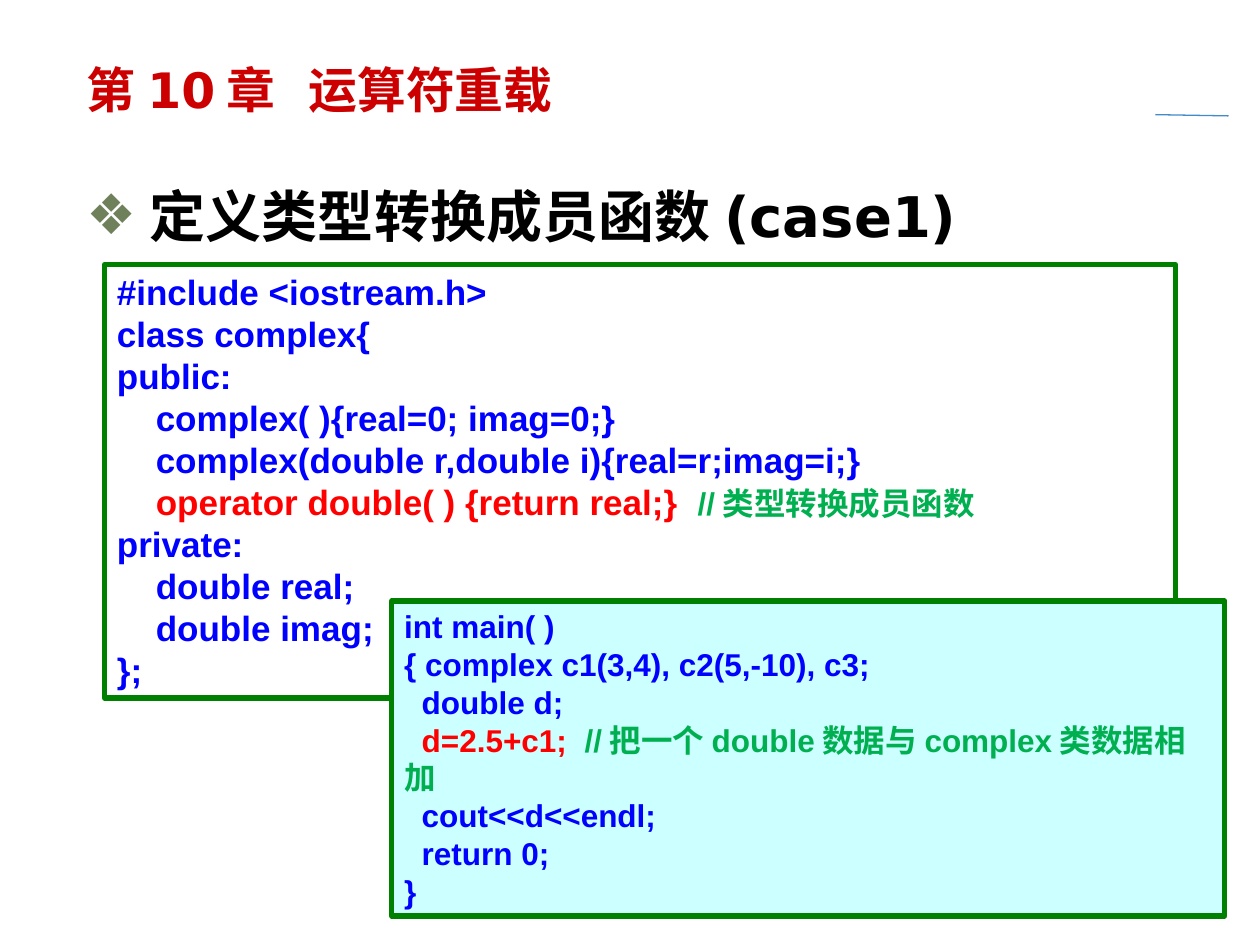
from dataclasses import dataclass

from lxml.etree import SubElement
from pptx import Presentation
from pptx.dml.color import RGBColor
from pptx.enum.shapes import MSO_CONNECTOR, MSO_SHAPE
from pptx.enum.text import MSO_ANCHOR, MSO_AUTO_SIZE, PP_ALIGN
from pptx.oxml.ns import qn
from pptx.util import Inches, Pt


@dataclass(frozen=True)
class Theme:
    heading_font: str = "DejaVu Sans"
    code_font: str = "Arial"
    title_size: float = 27.9
    topic_size: float = 32
    class_size: float = 20
    main_size: float = 18
    comment_size: float = 18
    title: str = "CC0000"
    topic: str = "000000"
    bullet: str = "6E815B"
    code: str = "0000FF"
    highlight: str = "FF0000"
    comment: str = "00B050"
    frame: str = "008000"
    main_fill: str = "CCFFFF"
    rule: str = "438ACB"


THEME = Theme()

# Each line of code is a list of (text, kind) pieces.
CLASS_CODE = [
    [("#include <iostream.h>", "code")],
    [("class complex{", "code")],
    [("public:", "code")],
    [("    complex( ){real=0; imag=0;}", "code")],
    [("    complex(double r,double i){real=r;imag=i;}", "code")],
    [("    operator double( ) {return real;}  ", "highlight"),
     ("//类型转换成员函数", "comment")],
    [("private:", "code")],
    [("    double real;", "code")],
    [("    double imag;", "code")],
    [("};", "code")],
]
MAIN_CODE = [
    [("int main( )", "code")],
    [("{ complex c1(3,4), c2(5,-10), c3;", "code")],
    [("  double d;", "code")],
    [("  d=2.5+c1;  ", "highlight"),
     ("//把一个double数据与complex类数据相加", "comment")],
    [("  cout<<d<<endl;", "code")],
    [("  return 0;", "code")],
    [("}", "code")],
]


def rgb(color):
    return RGBColor.from_string(color)


def style_font(font, name, size, color):
    font.name = name
    font.size = Pt(size)
    font.bold = True
    font.color.rgb = rgb(color)


def place(shape, box):
    shape.left, shape.top, shape.width, shape.height = map(Inches, box)


def prepare_frame(text_frame, anchor):
    text_frame.word_wrap = True
    text_frame.auto_size = MSO_AUTO_SIZE.NONE
    text_frame.vertical_anchor = anchor
    text_frame.margin_left = text_frame.margin_right = Inches(0.1)
    text_frame.margin_top = text_frame.margin_bottom = Inches(0.05)


def add_tab_stop(paragraph, position):
    tab_list = SubElement(paragraph._p.get_or_add_pPr(), qn("a:tabLst"))
    SubElement(tab_list, qn("a:tab"), pos=str(Inches(position)), algn="l")


def add_bullet(paragraph, character, color, indent):
    properties = paragraph._p.get_or_add_pPr()
    properties.set("marL", str(Inches(indent)))
    properties.set("indent", str(Inches(-indent)))
    bullet_color = SubElement(properties, qn("a:buClr"))
    SubElement(bullet_color, qn("a:srgbClr"), val=color)
    SubElement(properties, qn("a:buFont"), typeface=THEME.heading_font)
    SubElement(properties, qn("a:buChar"), char=character)


def fill_title(title, box):
    place(title, box)
    prepare_frame(title.text_frame, MSO_ANCHOR.MIDDLE)
    title.text_frame.text = "第10章\t运算符重载"
    paragraph = title.text_frame.paragraphs[0]
    add_tab_stop(paragraph, 1.76)
    paragraph.alignment = PP_ALIGN.LEFT
    paragraph.line_spacing = 0.8
    style_font(paragraph.runs[0].font, THEME.heading_font, THEME.title_size, THEME.title)


def fill_topic(body, box):
    place(body, box)
    prepare_frame(body.text_frame, MSO_ANCHOR.TOP)
    body.text_frame.text = "定义类型转换成员函数(case1)"
    paragraph = body.text_frame.paragraphs[0]
    add_bullet(paragraph, "❖", THEME.bullet, 0.5)
    paragraph.space_before = Pt(0)
    style_font(paragraph.runs[0].font, THEME.heading_font, THEME.topic_size, THEME.topic)


def add_corner_rule(slide, start, end):
    rule = slide.shapes.add_connector(
        MSO_CONNECTOR.STRAIGHT, *map(Inches, start), *map(Inches, end))
    rule.line.color.rgb = rgb(THEME.rule)
    rule.line.width = Pt(0.75)
    SubElement(rule._element.spPr, qn("a:effectLst"))


def add_code_panel(slide, box, lines, size, fill=None):
    panel = slide.shapes.add_shape(MSO_SHAPE.RECTANGLE, *map(Inches, box))
    panel.shadow.inherit = False
    panel.line.color.rgb = rgb(THEME.frame)
    panel.line.width = Pt(3)
    if fill:
        panel.fill.solid()
        panel.fill.fore_color.rgb = rgb(fill)
    else:
        panel.fill.background()

    text_frame = panel.text_frame
    prepare_frame(text_frame, MSO_ANCHOR.TOP)
    for index, pieces in enumerate(lines):
        paragraph = text_frame.add_paragraph() if index else text_frame.paragraphs[0]
        paragraph.alignment = PP_ALIGN.LEFT
        for text, kind in pieces:
            run = paragraph.add_run()
            run.text = text
            run_size = THEME.comment_size if kind == "comment" else size
            style_font(run.font, THEME.code_font, run_size, getattr(THEME, kind))


def build_slide(presentation):
    slide = presentation.slides.add_slide(presentation.slide_layouts[1])
    add_corner_rule(slide, (9.17, 0.91), (9.75, 0.92))
    fill_title(slide.shapes.title, (0.59, 0.44, 7.49, 0.62))
    fill_topic(slide.placeholders[1], (0.59, 1.39, 9.14, 5.83))
    add_code_panel(slide, (0.83, 2.1, 8.5, 3.44), CLASS_CODE, THEME.class_size)
    add_code_panel(slide, (3.11, 4.77, 6.61, 2.5), MAIN_CODE, THEME.main_size,
                   THEME.main_fill)


def main():
    presentation = Presentation()
    presentation.slide_width = Inches(10)
    presentation.slide_height = Inches(7.5)
    build_slide(presentation)
    presentation.save("out.pptx")


if __name__ == "__main__":
    main()
